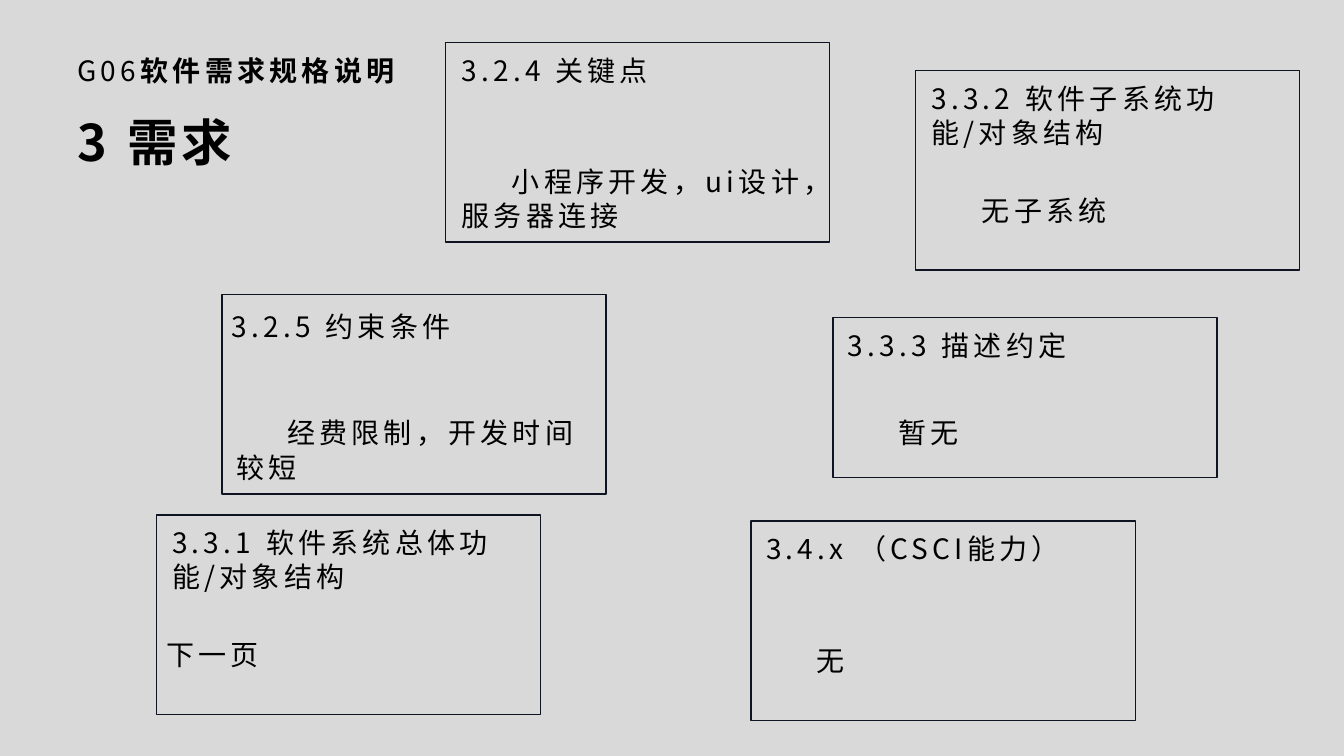
from pptx import Presentation
from pptx.dml.color import RGBColor
from pptx.enum.shapes import MSO_SHAPE
from pptx.enum.text import MSO_ANCHOR, MSO_AUTO_SIZE
from pptx.oxml.ns import qn
from pptx.util import Inches, Pt

RECTANGLE = MSO_SHAPE.RECTANGLE
TOP = MSO_ANCHOR.TOP
GROW = MSO_AUTO_SIZE.SHAPE_TO_FIT_TEXT
FIXED = MSO_AUTO_SIZE.NONE

COLOURS = {"background": "D9D9D9", "border": "0F1423", "text": "000000"}
FONT = "Noto Sans CJK SC"
LINE_HEIGHT = 1.22
LETTER_SPACING = "300"
BODY_DROP = 0.38
BODY_INDENT = 0.5
FRAME_WIDTH = 3.81

# Each panel: frame (left, top, height), heading box, heading, body box, body, indent
PANELS = [
    ((2.2, 2.92, 1.98), (2.2, 3.02, 3.66, 0.44), "3.2.5 约束条件",
     (2.25, 3.74, 3.76, 1.14), "经费限制，开发时间较短", BODY_INDENT),
    ((1.55, 5.11, 1.98), (1.61, 5.16, 3.62, 0.77), "3.3.1 软件系统总体功能/对象结构",
     (1.55, 5.94, 3.76, 1.14), "下一页", 0),
    ((4.42, 0.42, 1.98), (4.48, 0.48, 3.66, 0.44), "3.2.4 关键点",
     (4.48, 1.25, 3.76, 1.14), "小程序开发，ui设计，服务器连接", BODY_INDENT),
    ((9.08, 0.7, 1.98), (9.14, 0.75, 3.66, 0.77), "3.3.2 软件子系统功能/对象结构",
     (9.14, 1.53, 3.76, 1.14), "无子系统", BODY_INDENT),
    ((8.26, 3.15, 1.59), (8.31, 3.2, 3.66, 0.44), "3.3.3 描述约定",
     (8.31, 3.74, 3.24, 0.6), "暂无", BODY_INDENT),
    ((7.45, 5.17, 1.98), (7.5, 5.22, 3.66, 0.44), "3.4.x （CSCI能力）",
     (7.5, 6, 3.76, 1.14), "无", BODY_INDENT),
]


def colour(name):
    """Return the named colour of the palette."""
    return RGBColor.from_string(COLOURS[name])


def style_run(run, size, bold):
    """Set font, size, weight, colour and letter spacing of a run."""
    run.font.name = FONT
    run.font.size = Pt(size)
    run.font.bold = bold
    run.font.color.rgb = colour("text")
    properties = run.font._element
    properties.set("spc", LETTER_SPACING)
    east_asian = properties.makeelement(qn("a:ea"), {"typeface": FONT})
    properties.find(qn("a:latin")).addnext(east_asian)


def add_label(slide, box, pieces, size=20, drop=0.05, indent=0, fit=GROW):
    """Add a one-paragraph text box from (text, bold) pieces."""
    label = slide.shapes.add_textbox(*map(Inches, box))
    frame = label.text_frame
    frame.word_wrap = True
    frame.auto_size = fit
    frame.vertical_anchor = TOP
    frame.margin_top = Inches(drop)
    paragraph = frame.paragraphs[0]
    paragraph.line_spacing = Pt(size * LINE_HEIGHT)
    if indent:
        properties = paragraph._p.get_or_add_pPr()
        properties.set("marL", "0")
        properties.set("indent", str(Inches(indent)))
    for text, bold in pieces:
        run = paragraph.add_run()
        run.text = text
        style_run(run, size, bold)


def add_frame(slide, left, top, height):
    """Add the outlined rectangle of a panel."""
    frame = slide.shapes.add_shape(
        RECTANGLE, Inches(left), Inches(top), Inches(FRAME_WIDTH), Inches(height))
    frame.shadow.inherit = False
    frame.fill.background()
    frame.line.color.rgb = colour("border")
    frame.line.width = Pt(1)


def add_panel(slide, frame, heading_box, heading, body_box, body, indent):
    """Add a framed requirement with its heading and body."""
    add_frame(slide, *frame)
    add_label(slide, heading_box, [(heading, False)])
    add_label(slide, body_box, [(body, False)], drop=BODY_DROP, indent=indent, fit=FIXED)


def main():
    """Build the requirements slide and save it."""
    deck = Presentation()
    deck.slide_width, deck.slide_height = Inches(13.33), Inches(7.5)
    slide = deck.slides.add_slide(deck.slide_layouts[6])
    slide.background.fill.solid()
    slide.background.fill.fore_color.rgb = colour("background")
    add_label(slide, (0.67, 0.48, 3.38, 0.44), [("G06", False), ("软件需求规格说明", True)])
    add_label(slide, (0.67, 1.04, 3.38, 0.71), [("3 需求", True)], size=36)
    for panel in PANELS:
        add_panel(slide, *panel)
    deck.save("out.pptx")


if __name__ == "__main__":
    main()
